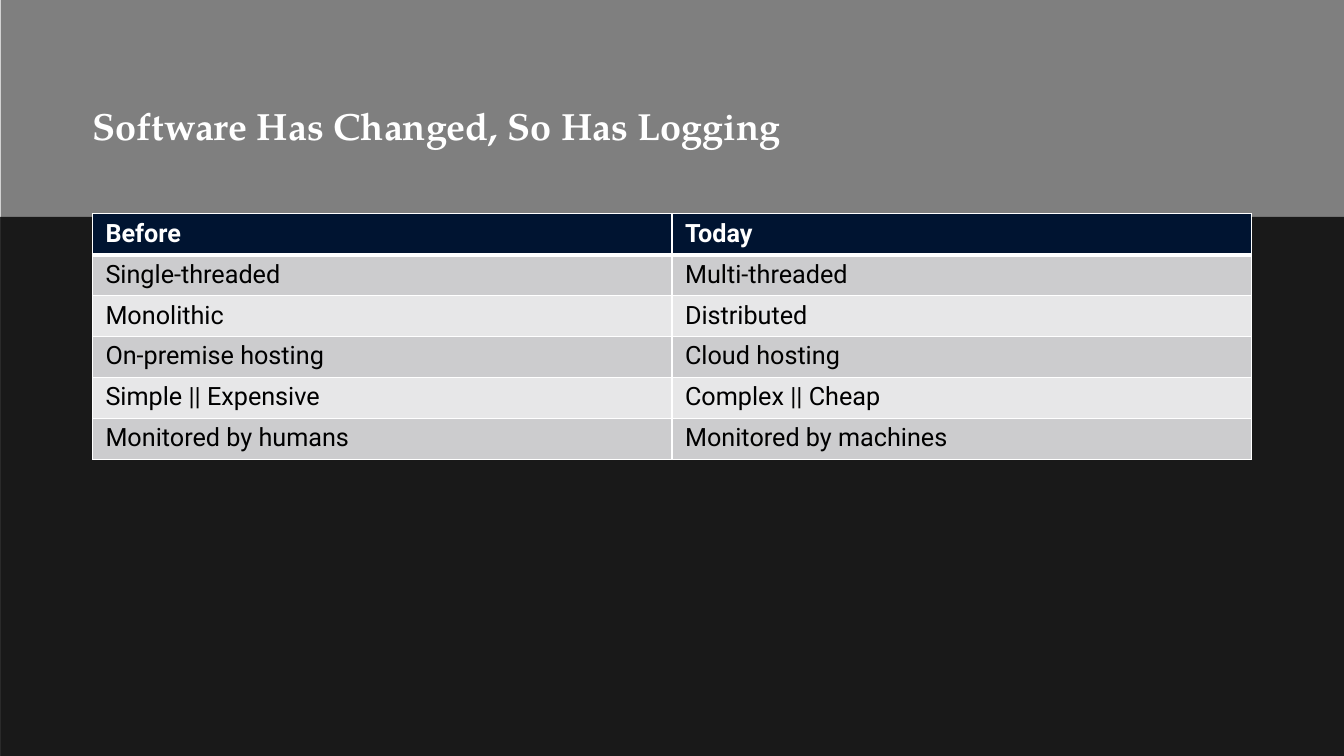
from dataclasses import dataclass

from lxml.etree import SubElement
from pptx import Presentation
from pptx.dml.color import RGBColor
from pptx.enum.shapes import MSO_SHAPE
from pptx.enum.text import MSO_ANCHOR
from pptx.oxml.ns import qn
from pptx.util import Pt

WIDE, HIGH = 960, 540
WHITE, BLACK, NAVY = "FFFFFF", "000000", "001431"
BANDS = ("CCCCCE", "E7E7E8")
ROWS = (
    ("Before", "Today"),
    ("Single-threaded", "Multi-threaded"),
    ("Monolithic", "Distributed"),
    ("On-premise hosting", "Cloud hosting"),
    ("Simple || Expensive", "Complex || Cheap"),
    ("Monitored by humans", "Monitored by machines"),
)


@dataclass
class Panel:
    left: float
    top: float
    height: float
    alpha: int


PANELS = (Panel(0.5, 0, HIGH, 50), Panel(0, 155, 385, 80))


def color(code: str) -> RGBColor:
    return RGBColor.from_string(code)


def style(para, face: str, size: float, code: str, bold: bool) -> None:
    for run in para.runs:
        font = run.font
        font.name, font.size, font.bold = face, Pt(size), bold
        font.color.rgb = color(code)


def add_panel(slide, panel: Panel) -> None:
    shape = slide.shapes.add_shape(
        MSO_SHAPE.RECTANGLE, Pt(panel.left), Pt(panel.top), Pt(WIDE), Pt(panel.height))
    shape.shadow.inherit = False
    shape.line.fill.background()
    shape.fill.solid()
    shape.fill.fore_color.rgb = color(BLACK)
    tint = shape.fill._xPr.find(".//" + qn("a:srgbClr"))
    SubElement(tint, qn("a:alpha"), val=str(panel.alpha * 1000))


def add_title(slide, text: str) -> None:
    box = slide.shapes.add_textbox(Pt(66), Pt(63.5), Pt(540), Pt(43))
    frame = box.text_frame
    frame.word_wrap = True
    frame.vertical_anchor = MSO_ANCHOR.BOTTOM
    frame.margin_left = frame.margin_right = 0
    frame.margin_top = frame.margin_bottom = 0
    frame.text = text
    para = frame.paragraphs[0]
    para.line_spacing = 0.9
    style(para, "TeX Gyre Pagella", 27, WHITE, True)


def add_edge(cell, side: str, width: float) -> None:
    props = cell._tc.get_or_add_tcPr()
    line = SubElement(props, qn("a:ln" + side), w=str(Pt(width)))
    fill = SubElement(line, qn("a:solidFill"))
    SubElement(fill, qn("a:srgbClr"), val=WHITE)


def fill_cell(cell, text: str, row: int) -> None:
    head = row == 0
    cell.text_frame.text = text
    style(cell.text_frame.paragraphs[0], "Roboto", 18, WHITE if head else BLACK, head)
    cell.margin_left = cell.margin_right = Pt(9.4)
    cell.margin_top = cell.margin_bottom = Pt(3.6)
    # A thick rule parts the header from the body
    edges = {"L": 1, "R": 1, "T": 3 if row == 1 else 1, "B": 3 if head else 1}
    for side, width in edges.items():
        add_edge(cell, side, width)
    cell.fill.solid()
    cell.fill.fore_color.rgb = color(NAVY if head else BANDS[(row - 1) % 2])


def add_grid(slide) -> None:
    grid = slide.shapes.add_table(
        len(ROWS), 2, Pt(66), Pt(152.8), Pt(828), Pt(29.2 * len(ROWS))).table
    for row, texts in enumerate(ROWS):
        for col, text in enumerate(texts):
            fill_cell(grid.cell(row, col), text, row)


def main() -> None:
    deck = Presentation()
    deck.slide_width, deck.slide_height = Pt(WIDE), Pt(HIGH)
    slide = deck.slides.add_slide(deck.slide_layouts[6])
    # Backdrop
    for panel in PANELS:
        add_panel(slide, panel)
    # Content
    add_title(slide, "Software Has Changed, So Has Logging")
    add_grid(slide)
    deck.save("out.pptx")


if __name__ == "__main__":
    main()
